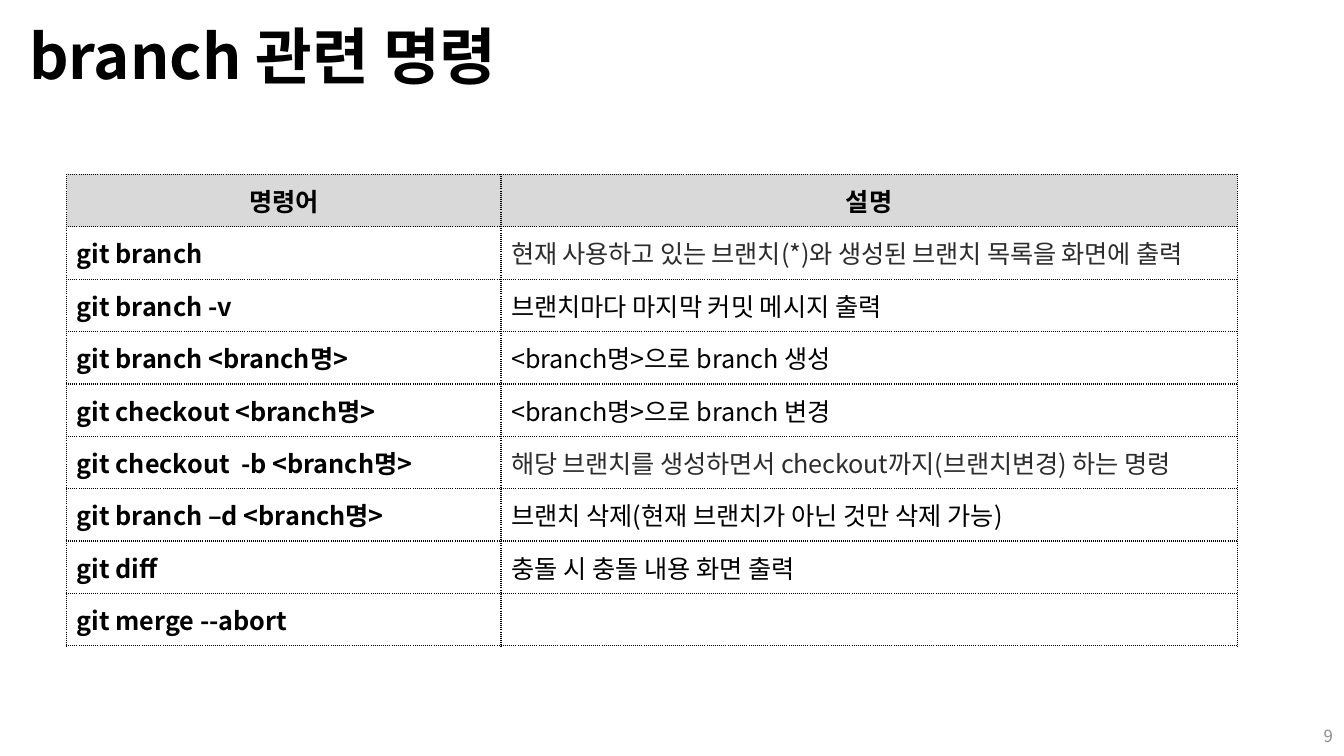
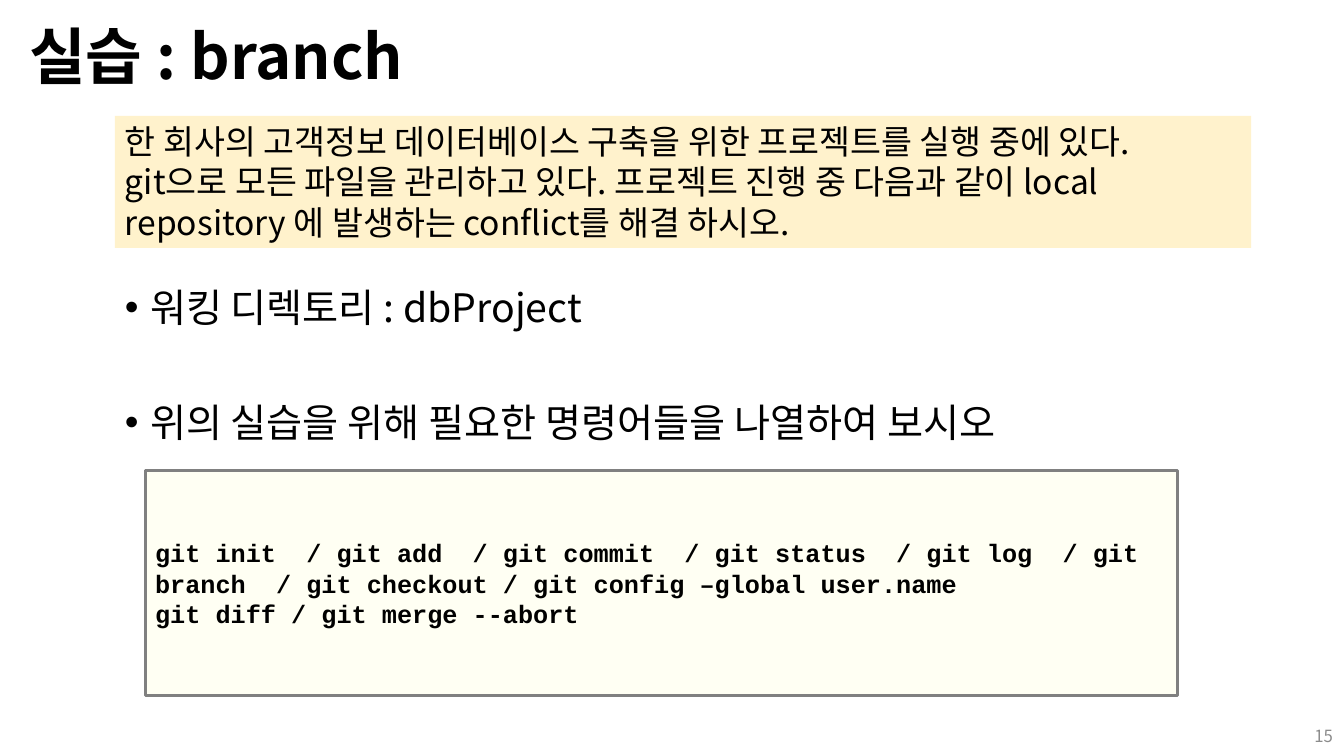
from pptx import Presentation
from pptx import util as u
from pptx.dml.color import RGBColor
from pptx.enum import shapes, text
from pptx.oxml import ns
from lxml import etree

PX = 9144  # 100 px to the inch
SANS, MONO = "Noto Sans CJK KR", "Courier New"
COLORS = {
    "ink": "000000", "soft": "2D2D2D", "number": "8C8C8C", "header": "D9D9D9",
    "brief": "FFF2CC", "code": "FFFFF3", "frame": "808080",
}
LEFT, CENTER, RIGHT = text.PP_ALIGN.LEFT, text.PP_ALIGN.CENTER, text.PP_ALIGN.RIGHT
TOP, MIDDLE = text.MSO_ANCHOR.TOP, text.MSO_ANCHOR.MIDDLE

COMMAND_COLUMNS = (431, 730)
ROW_HEIGHT = 52
# Command, description, whether the description is in the softer colour
COMMANDS = [
    ("git branch", "현재 사용하고 있는 브랜치(*)와 생성된 브랜치 목록을 화면에 출력", True),
    ("git branch -v", "브랜치마다 마지막 커밋 메시지 출력", False),
    ("git branch <branch명>", "<branch명>으로 branch 생성", False),
    ("git checkout <branch명>", "<branch명>으로 branch 변경", False),
    ("git checkout  -b <branch명>", "해당 브랜치를 생성하면서 checkout까지(브랜치변경) 하는 명령", True),
    ("git branch –d <branch명>", "브랜치 삭제(현재 브랜치가 아닌 것만 삭제 가능)", False),
    ("git diff", "충돌 시 충돌 내용 화면 출력", False),
    ("git merge --abort", "", False),
]
BRIEF = [
    "한 회사의 고객정보 데이터베이스 구축을 위한 프로젝트를 실행 중에 있다.",
    "git으로 모든 파일을 관리하고 있다. 프로젝트 진행 중 다음과 같이 local repository 에 "
    "발생하는 conflict를 해결 하시오.",
]
ANSWER = [
    "git init  / git add  / git commit  / git status  / git log  / git branch  "
    "/ git checkout / git config –global user.name",
    "git diff / git merge --abort",
]


def px(*lengths):
    return [u.Emu(length * PX) for length in lengths]


def rgb(name):
    return RGBColor.from_string(COLORS[name])


def add_xml(parent, tag, **attributes):
    return etree.SubElement(parent, ns.qn(tag), attributes)


# Text
def write(frame, lines, size=18, color="ink", bold=False, font=SANS, align=LEFT,
          tracking=0, line_spacing=None, bullet=False):
    for index, line in enumerate(lines):
        para = frame.paragraphs[0] if index == 0 else frame.add_paragraph()
        para.alignment = align
        if line_spacing:
            para.line_spacing = line_spacing
        if bullet:
            para.space_before = u.Pt(10)
            properties = para._p.get_or_add_pPr()
            properties.set("marL", str(25 * PX))
            properties.set("indent", str(-25 * PX))
            add_xml(properties, "a:buFont", typeface="Arial")
            add_xml(properties, "a:buChar", char="•")
        span = para.add_run()
        span.text = line
        span.font.size = u.Pt(size)
        span.font.bold = bold
        span.font.color.rgb = rgb(color)
        span.font.name = font
        properties = span._r.get_or_add_rPr()
        add_xml(properties, "a:ea", typeface=font)
        if tracking:
            properties.set("spc", str(tracking))


def set_frame(frame, anchor):
    frame.word_wrap = True
    frame.auto_size = text.MSO_AUTO_SIZE.NONE
    frame.vertical_anchor = anchor


def add_text(page, area, lines, anchor=TOP, **style):
    box = page.shapes.add_textbox(*px(*area))
    set_frame(box.text_frame, anchor)
    write(box.text_frame, lines, **style)


def add_panel(page, area, lines, fill, line=None, anchor=TOP, **style):
    panel = page.shapes.add_shape(shapes.MSO_SHAPE.RECTANGLE, *px(*area))
    panel.shadow.inherit = False
    panel.fill.solid()
    panel.fill.fore_color.rgb = rgb(fill)
    if line:
        panel.line.color.rgb = rgb(line)
        panel.line.width = u.Pt(2.25)
    else:
        panel.line.fill.background()
    set_frame(panel.text_frame, anchor)
    write(panel.text_frame, lines, **style)


# Page with its title and number
def add_page(deck, title, number):
    page = deck.slides.add_slide(deck.slide_layouts[5])
    heading = page.shapes.title
    heading.left, heading.top, heading.width, heading.height = px(19, 19, 1293, 81)
    set_frame(heading.text_frame, MIDDLE)
    write(heading.text_frame, [title], size=44, bold=True, line_spacing=0.9)
    add_text(page, (1282, 710, 50, 40), [str(number)], anchor=MIDDLE,
             size=12, color="number", align=RIGHT)
    return page


# Table
def add_borders(cell):
    properties = cell._tc.get_or_add_tcPr()
    for index, side in enumerate(("a:lnL", "a:lnR", "a:lnT", "a:lnB")):
        border = etree.Element(ns.qn(side), w=str(u.Pt(1)))
        fill = add_xml(border, "a:solidFill")
        add_xml(fill, "a:srgbClr", val=COLORS["ink"])
        add_xml(border, "a:prstDash", val="sysDot")
        properties.insert(index, border)


def fill_cell(cell, content, fill=None, **style):
    cell.vertical_anchor = MIDDLE
    if fill:
        cell.fill.solid()
        cell.fill.fore_color.rgb = rgb(fill)
    else:
        cell.fill.background()
    add_borders(cell)
    if content:
        write(cell.text_frame, [content], **style)


def add_command_table(page):
    count = len(COMMANDS) + 1
    area = px(66, 173, sum(COMMAND_COLUMNS), count * ROW_HEIGHT)
    table = page.shapes.add_table(count, len(COMMAND_COLUMNS), *area).table
    table.first_row = table.horz_banding = False
    for column, width in zip(table.columns, px(*COMMAND_COLUMNS)):
        column.width = width
    for index, label in enumerate(("명령어", "설명")):
        fill_cell(table.cell(0, index), label, fill="header", bold=True, align=CENTER)
    for row, (command, description, soft) in enumerate(COMMANDS, start=1):
        fill_cell(table.cell(row, 0), command, bold=True)
        fill_cell(table.cell(row, 1), description,
                  color="soft" if soft else "ink", tracking=-10 if soft else 0)


# Slides
def build_commands(deck):
    page = add_page(deck, "branch 관련 명령", 9)
    add_command_table(page)


def build_exercise(deck):
    page = add_page(deck, "실습 : branch", 15)
    add_panel(page, (114, 115, 1127, 131), BRIEF, "brief", size=24)
    add_text(page, (114, 276, 844, 61), ["워킹 디렉토리 : dbProject"], size=28, bullet=True)
    add_text(page, (114, 390, 1116, 61), ["위의 실습을 위해 필요한 명령어들을 나열하여 보시오"],
             size=28, bullet=True)
    add_panel(page, (144, 467, 1024, 223), ANSWER, "code", line="frame",
              anchor=MIDDLE, bold=True, font=MONO)


def main():
    deck = Presentation()
    deck.slide_width, deck.slide_height = px(1333, 750)
    build_commands(deck)
    build_exercise(deck)
    deck.save("out.pptx")


if __name__ == "__main__":
    main()
